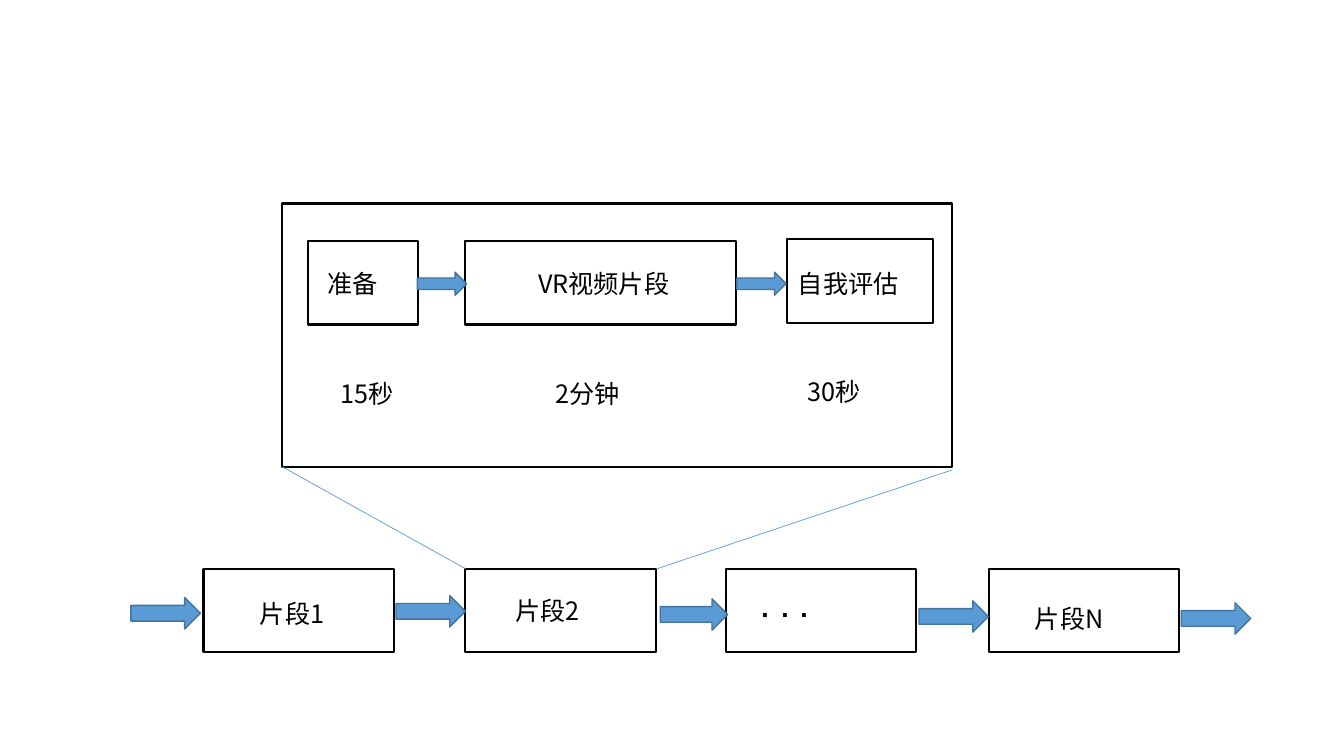
import dataclasses

import lxml.etree
import pptx
import pptx.dml.color
import pptx.enum.shapes
import pptx.enum.text
import pptx.oxml.ns
import pptx.shapes.autoshape
import pptx.slide
import pptx.util

Cm = pptx.util.Cm
Pt = pptx.util.Pt
Kind = pptx.enum.shapes.MSO_SHAPE
RGBColor = pptx.dml.color.RGBColor

BLACK = RGBColor(0x00, 0x00, 0x00)
BLUE = RGBColor(0x5B, 0x9B, 0xD5)
NAVY = RGBColor(0x43, 0x73, 0x9E)
SANS = "Noto Sans CJK SC"
SLAB = "Roboto Slab"


@dataclasses.dataclass(frozen=True)
class Box:
    left: float
    top: float
    width: float = 4.8
    height: float = 2.11


@dataclasses.dataclass(frozen=True)
class Label:
    text: str
    left: float
    top: float
    width: float = 2.82
    height: float = 1.02
    size: int = 18
    font: str = SANS


@dataclasses.dataclass(frozen=True)
class Arrow:
    left: float
    top: float
    width: float = 1.75
    height: float = 0.79


@dataclasses.dataclass(frozen=True)
class Ray:
    left: float
    top: float
    right: float
    base: float


CLIPS = [Box(left, 14.33) for left in (5.13, 11.73, 18.29, 24.92)]
PANEL = Box(7.11, 5.13, 16.89, 6.63)
STEPS = [
    Box(11.73, 6.07, 6.81),
    Box(19.84, 6.02, 3.68),
    Box(7.77, 6.07, 2.77),
]
LABELS = [
    Label("片段1", 6.3, 14.96),
    Label("片段2", 12.73, 14.88),
    Label("准备", 8, 6.63),
    Label("VR视频片段", 13.31, 6.63, 4.62),
    Label("自我评估", 19.86, 6.63, 4.14),
    Label("15秒", 8.33, 9.42, 2.18),
    Label("2分钟", 13.74, 9.4),
    Label("30秒", 20.09, 9.35),
    Label("· · ·", 18.92, 14.76, 3.89, 1.45, 28, SLAB),
    Label("片段N", 25.83, 15.09),
]
RAYS = [Ray(7.11, 11.76, 11.73, 14.33), Ray(16.56, 14.33, 24, 11.84)]
ARROWS = [
    Arrow(9.98, 15.01),
    Arrow(16.64, 15.09, 1.7),
    Arrow(23.16, 15.14),
    Arrow(29.77, 15.19),
    Arrow(3.3, 15.06),
    Arrow(10.52, 6.86, 1.24, 0.58),
    Arrow(18.57, 6.86, 1.24, 0.58),
]


def add_form(
    slide: pptx.slide.Slide, kind: Kind, item: Box | Arrow, color: RGBColor, weight: float
) -> pptx.shapes.autoshape.Shape:
    form = slide.shapes.add_shape(
        kind, Cm(item.left), Cm(item.top), Cm(item.width), Cm(item.height)
    )
    form.shadow.inherit = False
    form.line.color.rgb = color
    form.line.width = Pt(weight)
    return form


def draw_box(slide: pptx.slide.Slide, box: Box) -> None:
    add_form(slide, Kind.RECTANGLE, box, BLACK, 1.5).fill.background()


def draw_arrow(slide: pptx.slide.Slide, arrow: Arrow) -> None:
    form = add_form(slide, Kind.RIGHT_ARROW, arrow, NAVY, 1)
    form.fill.solid()
    form.fill.fore_color.rgb = BLUE


def draw_label(slide: pptx.slide.Slide, label: Label) -> None:
    frame = slide.shapes.add_textbox(
        Cm(label.left), Cm(label.top), Cm(label.width), Cm(label.height)
    ).text_frame
    frame.word_wrap = True
    frame.auto_size = pptx.enum.text.MSO_AUTO_SIZE.SHAPE_TO_FIT_TEXT
    frame.text = label.text
    run = frame.paragraphs[0].runs[0]
    run.font.size = Pt(label.size)
    run.font.name = label.font
    run.font.color.rgb = BLACK
    east = lxml.etree.SubElement(run.font._element, pptx.oxml.ns.qn("a:ea"))
    east.set("typeface", label.font)


def draw_ray(slide: pptx.slide.Slide, ray: Ray) -> None:
    line = slide.shapes.add_connector(
        pptx.enum.shapes.MSO_CONNECTOR.STRAIGHT,
        Cm(ray.left), Cm(ray.top), Cm(ray.right), Cm(ray.base),
    )
    line.line.color.rgb = BLUE
    line.line.width = Pt(0.5)
    lxml.etree.SubElement(line._element.spPr, pptx.oxml.ns.qn("a:effectLst"))


def main() -> None:
    deck = pptx.Presentation()
    deck.slide_width = Cm(33.87)
    deck.slide_height = Cm(19.05)
    slide = deck.slides.add_slide(deck.slide_layouts[6])
    for box in [*CLIPS, PANEL, *STEPS]:
        draw_box(slide, box)
    for label in LABELS:
        draw_label(slide, label)
    for ray in RAYS:
        draw_ray(slide, ray)
    for arrow in ARROWS:
        draw_arrow(slide, arrow)
    deck.save("out.pptx")


if __name__ == "__main__":
    main()
